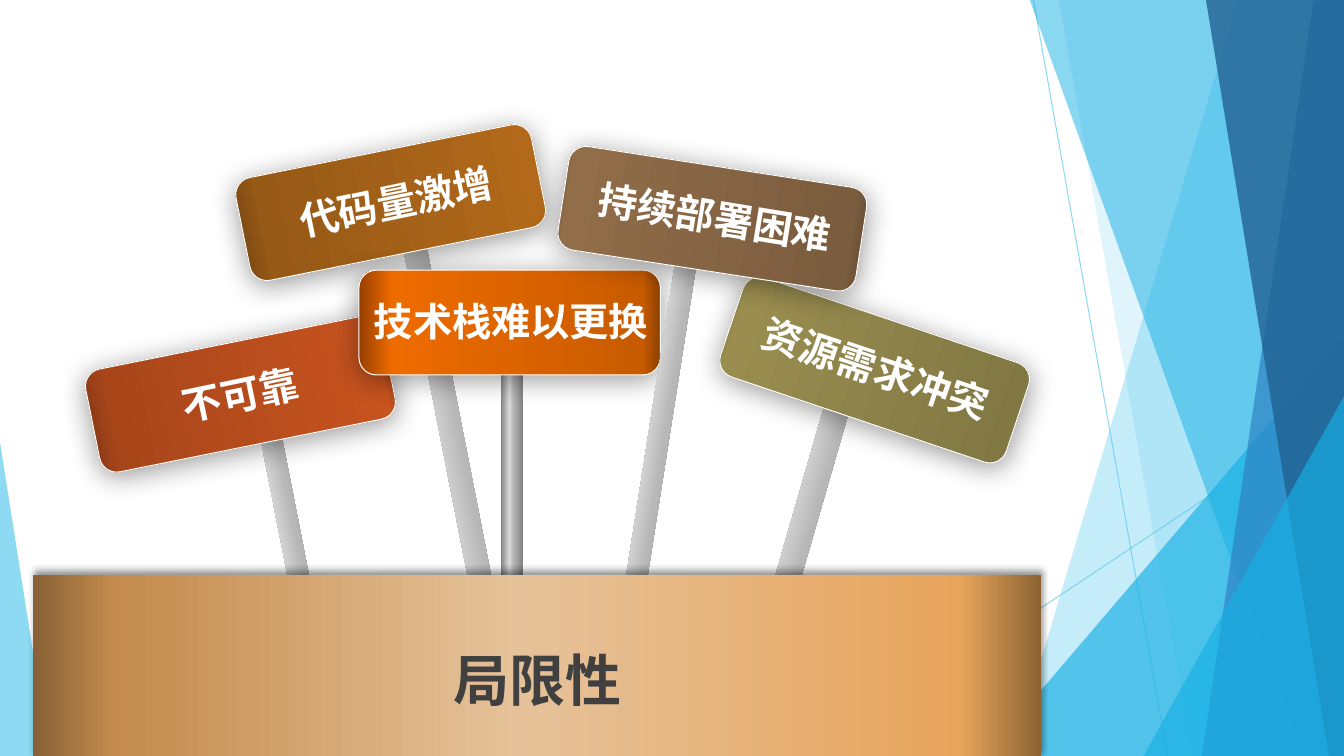
from lxml.etree import SubElement as Sub
from pptx import Presentation
from pptx.dml.color import RGBColor
from pptx.enum.shapes import MSO_CONNECTOR as Link, MSO_SHAPE as Kind
from pptx.enum.text import MSO_AUTO_SIZE as Fit, PP_ALIGN as Align
from pptx.oxml.ns import qn
from pptx.util import Inches, Pt

WIDE, HIGH = 13.33, 7.5
STEEL = [(0, "808080"), (45, "B7B7B7"), (62, "D9D9D9"), (100, "878787")]


def hue(code):
    """Turn a hex string into a colour."""
    return RGBColor.from_string(code)


def fade(fill, root, code, alpha):
    """Fill with one colour at a given opacity in percent."""
    fill.solid()
    fill.fore_color.rgb = hue(code)
    tone = root.spPr.find(".//" + qn("a:srgbClr"))
    Sub(tone, qn("a:alpha"), val=str(alpha * 1000))


def blend(shape, stops, angle):
    """Fill a shape with a gradient of many stops."""
    shape.fill.gradient()
    shape.fill.gradient_angle = angle
    row = shape.element.spPr.find(".//" + qn("a:gsLst"))
    for old in list(row):
        row.remove(old)
    for spot, code in stops:
        stop = Sub(row, qn("a:gs"), pos=str(spot * 1000))
        Sub(stop, qn("a:srgbClr"), val=code)


def shade(shape, blur, turn):
    """Cast a soft black shadow three points away."""
    cast = Sub(shape.element.spPr.find(qn("a:effectLst")), qn("a:outerShdw"),
               blurRad=str(Pt(blur)), dist=str(Pt(3)), dir=str(turn * 60000),
               algn="ctr", rotWithShape="0")
    tone = Sub(cast, qn("a:srgbClr"), val="000000")
    Sub(tone, qn("a:alpha"), val="40000")


def block(shapes, kind, box, tilt=0, bend=None):
    """Add a plain shape with no line and no shadow."""
    shape = shapes.add_shape(kind, *map(Inches, box))
    shape.rotation = tilt
    shape.shadow.inherit = False
    shape.line.fill.background()
    if bend is not None:
        shape.adjustments[0] = bend
    return shape


def label(shapes, box, words, size, code, gap, tilt=0, align=Align.LEFT):
    """Add a bold line of text."""
    area = shapes.add_textbox(*map(Inches, box))
    area.rotation = tilt
    frame = area.text_frame
    frame.word_wrap = True
    frame.auto_size = Fit.SHAPE_TO_FIT_TEXT
    para = frame.paragraphs[0]
    para.alignment = align
    para.line_spacing = gap
    run = para.add_run()
    run.text = words
    font = run.font
    font.name, font.size, font.bold = "Arial Narrow", Pt(size), True
    font.color.rgb = hue(code)


def ray(shapes, start, end):
    """Add a thin pale line."""
    line = shapes.add_connector(Link.STRAIGHT, *map(Inches, start + end))
    line.line.width = Pt(0.75)
    fade(line.line.fill, line.element, "5FCBEF", 70)
    Sub(line.element.spPr, qn("a:effectLst"))


def band(shapes, box, top, foot, code, alpha):
    """Add a slanted band reaching the right edge of the box."""
    x, y, w, h = box
    spots = [(x + w, y), (x + w, y + h), (x + foot, y + h)]
    path = shapes.build_freeform(Inches(x + top), Inches(y))
    path.add_line_segments([(Inches(a), Inches(b)) for a, b in spots])
    shape = path.convert_to_shape()
    shape.shadow.inherit = False
    shape.line.fill.background()
    fade(shape.fill, shape.element, code, alpha)


def wedge(shapes, box, bend, code, alpha):
    """Add a right-angled corner triangle."""
    shape = block(shapes, Kind.ISOSCELES_TRIANGLE, box, bend=bend)
    fade(shape.fill, shape.element, code, alpha)


def decor(slide, box):
    """Draw the blue facets on the right and the left corner."""
    x, y, w, h = box
    end, foot = x + w, y + h
    shapes = slide.shapes.add_group_shape().shapes
    ray(shapes, (x + 2.13, y), (x + 3.46, foot))
    ray(shapes, (end, y + 4.03), (x, foot))
    zone = x, y - 0.01, w, h + 0.01
    band(shapes, zone, 4.16, 1.92, "5FCBEF", 36)
    band(shapes, zone, 2.38, 3.71, "5FCBEF", 20)
    wedge(shapes, (end - 3.56, foot - 4.17, 3.56, 4.17), 1, "17B0E4", 66)
    band(shapes, zone, 2.09, 4.79, "17B0E4", 50)
    band(shapes, zone, 4.91, 3.8, "2E83C3", 70)
    band(shapes, zone, 3.84, 5.06, "226292", 80)
    wedge(shapes, (end - 1.99, foot - 3.57, 1.99, 3.57), 1, "17B0E4", 66)
    wedge(shapes, (0, foot - 3.11, 0.49, 3.11), 0, "5FCBEF", 70)


def sign(slide, box, words, tilts, pole, text, stops, angle):
    """Draw a tilted sign on its pole."""
    x, y, w, h = box
    lean, tilt, turn = tilts
    dx, dy, wide, tall = pole
    shapes = slide.shapes.add_group_shape().shapes
    post = block(shapes, Kind.ROUNDED_RECTANGLE,
                 (x + dx, y + dy, wide, tall), lean, 0.5)
    blend(post, STEEL, 180)
    board = block(shapes, Kind.ROUNDED_RECTANGLE, box, tilt)
    blend(board, stops, angle)
    board.line.color.rgb = hue("FFFFFF")
    board.line.width = Pt(0.75)
    shade(board, 20, 90)
    label(shapes, (x + text[0], y + 0.31, text[1], 0.48),
          words, 28, "FFFFFF", 0.8, turn)


def base(slide, box):
    """Draw the wooden base with its title."""
    x, y, w, h = box
    wood = block(slide.shapes, Kind.RECTANGLE, box)
    blend(wood, [(0, "896136"), (8, "C38B4D"), (48, "E6C29A"),
                 (92, "E7A45B"), (100, "8C6233")], 0)
    shade(wood, 4, 270)
    label(slide.shapes, (x + 1.89, y + 0.46, 6.22, 0.98),
          "局限性", 40, "404040", 1.3, align=Align.CENTER)


SIGNS = [
    ((0.89, 3.39), "不可靠", (348.9, 348.6, 348.2),
     (1.86, 0.5, 0.21, 2.59), (0.82, 1.48),
     [(0, "763112"), (12, "A8461A"), (92, "C7531F"), (100, "79300E")], 0),
    ((2.38, 1.49), "代码量激增", (348.9, 348.6, 348.2),
     (1.97, 0.72, 0.23, 4.05), (0.49, 2.16),
     [(0, "693E0F"), (12, "965916"), (94, "B2691A"), (100, "6D3E0B")], 0),
    ((3.56, 2.68), "技术栈难以更换", (0, 0, 0),
     (1.41, 0.65, 0.22, 2.91), (0.05, 3.32),
     [(0, "8D4000"), (6, "C85B00"), (89, "EE6B00"), (100, "963F00")], 180),
    ((7.18, 3.15), "资源需求冲突", (16.1, 18.6, 18.5),
     (0.67, 0.57, 0.25, 2.91), (0.23, 2.55),
     [(0, "5A542F"), (7, "817743"), (90, "998D4F"), (100, "5B532C")], 180),
    ((5.57, 1.65), "持续部署困难", (8.9, 8.8, 9.2),
     (0.87, 0.87, 0.21, 3.47), (0.25, 2.56),
     [(0, "56412B"), (8, "7A5C3E"), (94, "916D49"), (100, "58402A")], 180),
]


def main():
    """Build and save the slide."""
    deck = Presentation()
    deck.slide_width, deck.slide_height = Inches(WIDE), Inches(HIGH)
    slide = deck.slides.add_slide(deck.slide_layouts[6])
    decor(slide, (8.12, 0, WIDE - 8.12, HIGH))
    for spot, *rest in SIGNS:
        sign(slide, (*spot, 2.99, 1.04), *rest)
    base(slide, (0.33, 5.7, 10, 1.81))
    deck.save("out.pptx")


if __name__ == "__main__":
    main()
